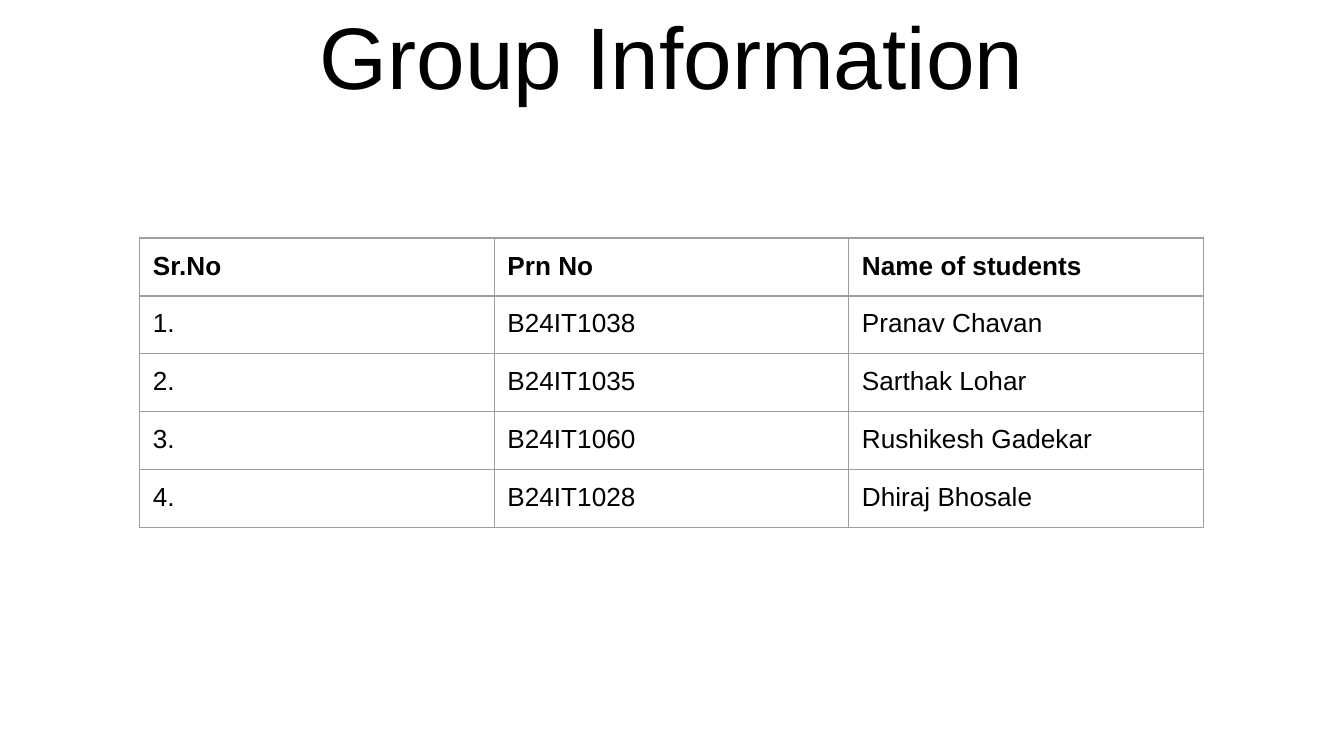
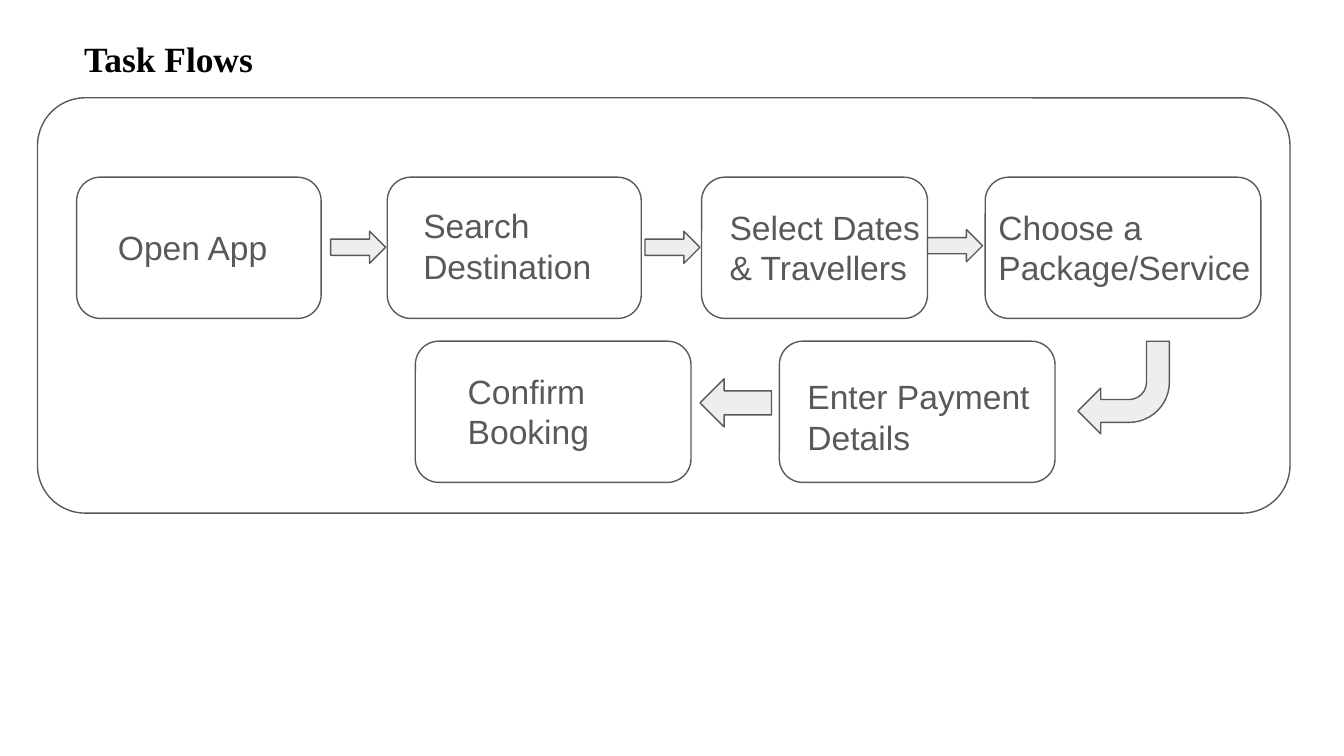
"""Builds two slides: a group table and a booking task flow."""
from lxml.etree import SubElement
from pptx import Presentation
from pptx.dml.color import RGBColor
from pptx.enum.shapes import MSO_SHAPE as Shape
from pptx.enum.text import MSO_ANCHOR as Anchor, PP_ALIGN as Align
from pptx.oxml.ns import qn
from pptx.util import Cm, Pt

COLORS = {"black": "000000", "white": "FFFFFF", "gray": "595959",
          "arrow": "EEEEEE", "border": "9E9E9E"}
INSET = 0.25
LINE_PT = 0.75

GROUP_TITLE = "Group Information"
GROUP = [
    ("Sr.No", "Prn No", "Name of students"),
    ("1.", "B24IT1038", "Pranav Chavan"),
    ("2.", "B24IT1035", "Sarthak Lohar"),
    ("3.", "B24IT1060", "Rushikesh Gadekar"),
    ("4.", "B24IT1028", "Dhiraj Bhosale"),
]
TABLE_LEFT, TABLE_TOP, COL_W, ROW_H = 2.64, 4.5, 6.7, 1.06

FLOW_TITLE = "Task Flows"
PANEL = (0.71, 1.85, 23.67, 7.85)
STEP_H = 2.67
ROW_TOPS = (3.35, 6.45)
# row, box left, box width, label, label (left, top, width, height)
STEPS = [
    (0, 1.45, 4.62, "Open App", (1.98, 4.04, 4.14, 1.27)),
    (0, 7.32, 4.8, "Search Destination", (7.75, 3.63, 4.14, 2.06)),
    (0, 13.26, 4.27, "Select Dates & Travellers", (13.54, 3.66, 4.62, 2.06)),
    (0, 18.62, 5.21, "Choose a Package/Service", (18.62, 3.66, 6.22, 2.06)),
    (1, 14.73, 5.21, "Enter Payment Details", (15.01, 6.86, 5.49, 2.06)),
    (1, 7.85, 5.21, "Confirm Booking", (8.59, 6.76, 4.14, 2.06)),
]
STRAIGHT, BENT = (0.5, 0.5), (0.25, 0.25, 0.25, 0.44)
ARROWS = [
    (Shape.RIGHT_ARROW, (6.25, 4.37, 1.04, 0.61), STRAIGHT, 0),
    (Shape.RIGHT_ARROW, (12.19, 4.37, 1.04, 0.61), STRAIGHT, 0),
    (Shape.RIGHT_ARROW, (17.53, 4.34, 1.04, 0.61), STRAIGHT, 0),
    (Shape.BENT_ARROW, (20.37, 6.45, 1.73, 1.75), BENT, 180),
    (Shape.RIGHT_ARROW, (13.23, 7.16, 1.35, 0.91), STRAIGHT, 180),
]


def rgb(name):
    return RGBColor.from_string(COLORS[name])


def set_insets(target):
    target.margin_left = target.margin_right = Cm(INSET)
    target.margin_top = target.margin_bottom = Cm(INSET)


def add_run(p, text, size, color="black", font="Arial", bold=False):
    r = p.add_run()
    r.text = text
    r.font.size, r.font.name, r.font.bold = Pt(size), font, bold
    r.font.color.rgb = rgb(color)


def add_text(s, box, text, size, anchor=Anchor.TOP, **style):
    tf = s.shapes.add_textbox(*map(Cm, box)).text_frame
    tf.word_wrap = True
    tf.vertical_anchor = anchor
    set_insets(tf)
    p = tf.paragraphs[0]
    add_run(p, text, size, **style)
    return p


def add_shape(s, kind, box, adjustments, fill="white", rotation=0):
    sp = s.shapes.add_shape(kind, *map(Cm, box))
    sp.shadow.inherit = False
    for i, value in enumerate(adjustments):
        sp.adjustments[i] = value
    sp.fill.solid()
    sp.fill.fore_color.rgb = rgb(fill)
    sp.line.color.rgb = rgb("gray")
    sp.line.width = Pt(LINE_PT)
    sp.rotation = rotation


def add_borders(cell):
    tc_pr = cell._tc.get_or_add_tcPr()
    for side in ("lnL", "lnR", "lnT", "lnB"):
        ln = SubElement(tc_pr, qn(f"a:{side}"), w=str(Pt(LINE_PT)))
        fill = SubElement(ln, qn("a:solidFill"))
        SubElement(fill, qn("a:srgbClr"), val=COLORS["border"])


def build_group(s):
    p = add_text(s, (0.86, 0.43, 23.67, 1.85), GROUP_TITLE, 46.8, Anchor.BOTTOM)
    p.alignment = Align.CENTER
    rows, cols = len(GROUP), len(GROUP[0])
    box = (TABLE_LEFT, TABLE_TOP, cols * COL_W, rows * ROW_H)
    table = s.shapes.add_table(rows, cols, *map(Cm, box)).table
    table.first_row = table.horz_banding = False
    for col in table.columns:
        col.width = Cm(COL_W)
    for i, values in enumerate(GROUP):
        table.rows[i].height = Cm(ROW_H)
        for j, text in enumerate(values):
            cell = table.cell(i, j)
            set_insets(cell)
            add_borders(cell)
            cell.fill.background()
            add_run(cell.text_frame.paragraphs[0], text, 14, bold=i == 0)


def build_flow(s):
    p = add_text(s, (0.71, 0.33, 23.67, 2.21), FLOW_TITLE, 19,
                 font="Times New Roman", bold=True)
    p.line_spacing = 1.15
    p_pr = p._p.get_or_add_pPr()
    p_pr.set("marL", str(Cm(1.27)))
    p_pr.set("indent", str(-Cm(0.64)))
    add_shape(s, Shape.ROUNDED_RECTANGLE, PANEL, (0.115,))
    for row, left, width, text, label in STEPS:
        box = (left, ROW_TOPS[row], width, STEP_H)
        add_shape(s, Shape.ROUNDED_RECTANGLE, box, (0.167,))
        add_text(s, label, text, 18, color="gray")
    for kind, box, adjustments, rotation in ARROWS:
        add_shape(s, kind, box, adjustments, "arrow", rotation)


def main():
    prs = Presentation()
    prs.slide_width, prs.slide_height = Cm(25.4), Cm(14.29)
    for build in (build_group, build_flow):
        s = prs.slides.add_slide(prs.slide_layouts[6])
        s.background.fill.solid()
        s.background.fill.fore_color.rgb = rgb("white")
        build(s)
    prs.save("out.pptx")


if __name__ == "__main__":
    main()
